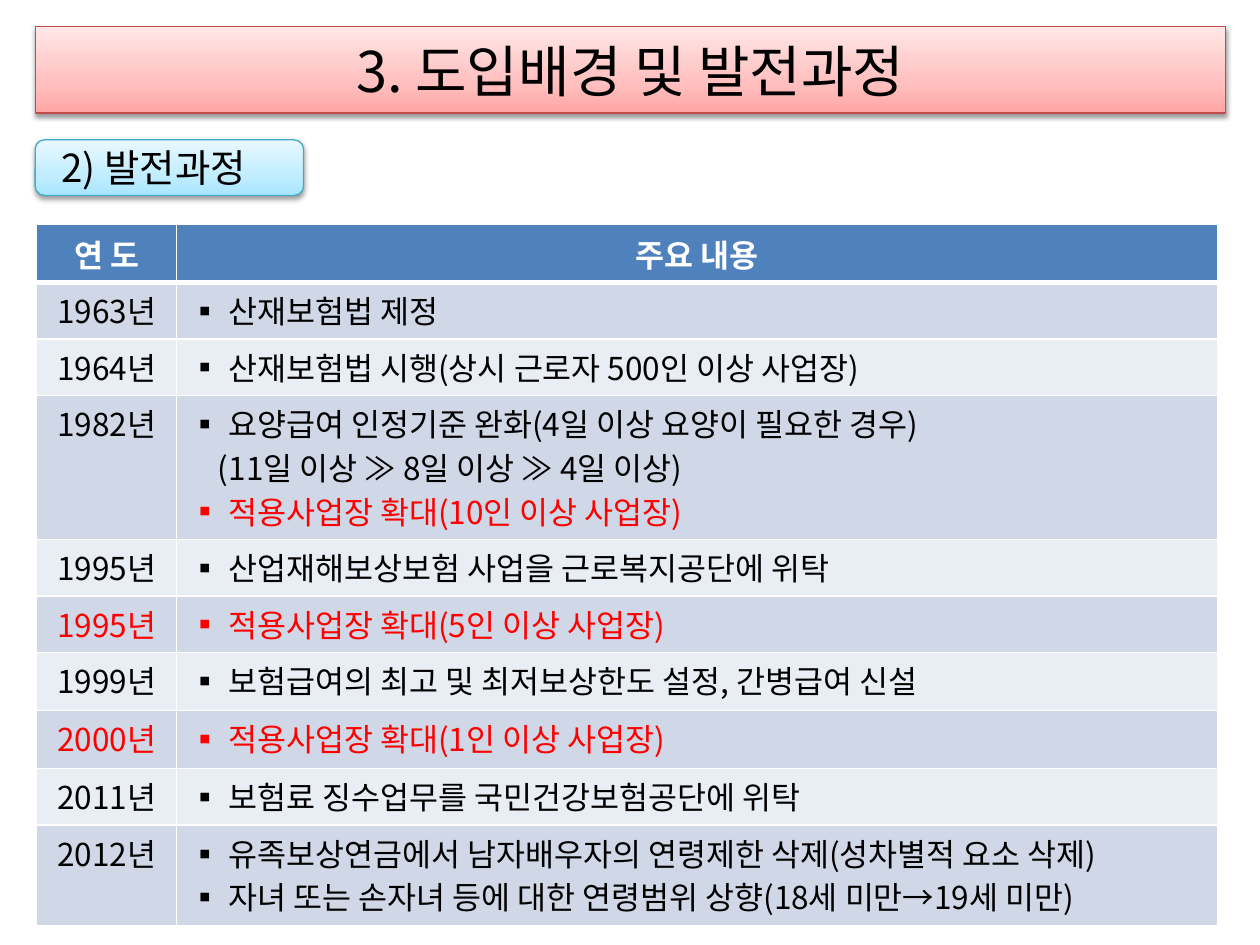
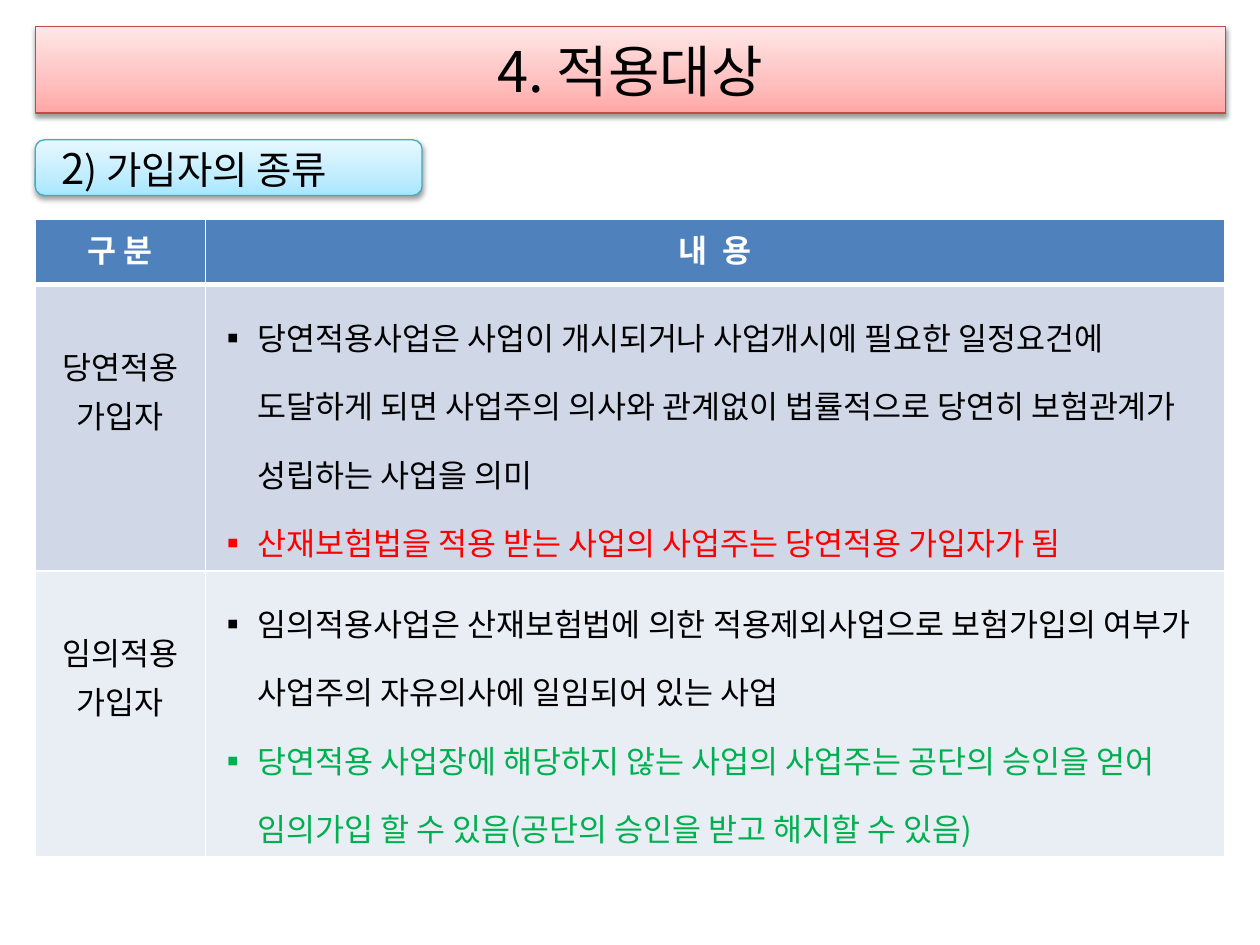
import pptx
import pptx.util
import pptx.dml.color
import pptx.enum.shapes
import pptx.enum.text
import pptx.oxml
import pptx.oxml.ns

Cm, Pt = pptx.util.Cm, pptx.util.Pt
ALIGN = pptx.enum.text.PP_ALIGN
ANCHOR = pptx.enum.text.MSO_ANCHOR
NS = pptx.oxml.ns.nsdecls("a")
FACE = "Noto Sans CJK KR"

HUES = {
    "black": "000000", "white": "FFFFFF", "red": "FF0000", "green": "00B050",
    "head": "4F81BD", "odd": "D0D8E8", "even": "E9EDF4",
}
# Gradient stops run from the bottom edge to the top edge
BANDS = {
    "title": {"stops": [(0, "FFA6A5"), (35, "FFC0BF"), (100, "FFE7E7")], "line": "BF4C48"},
    "label": {"stops": [(0, "A7E6FF"), (35, "C1EDFF"), (100, "E7F8FF")], "line": "46AAC5"},
}

# Content: each row is (label lines, items); an item is (text, colour, bulleted)
PAGES = [
    {
        "title": "3. 도입배경 및 발전과정",
        "label": [("2) 발전과정", 22)], "wide": 5.41,
        "at": (0.74, 4.52), "cols": (2.82, 20.98),
        "tall": (1.15, 1.14, 1.14, 2.9, 1.14, 1.14, 1.17, 1.17, 1.14, 2.02),
        "lead": Pt(25), "pitch": Pt(25), "top": 0.13,
        "head": ("연 도", "주요 내용"),
        "rows": [
            (["1963년"], [("산재보험법 제정", "black", True)]),
            (["1964년"], [("산재보험법 시행(상시 근로자 500인 이상 사업장)", "black", True)]),
            (["1982년"], [
                ("요양급여 인정기준 완화(4일 이상 요양이 필요한 경우)", "black", True),
                ("(11일 이상 ≫ 8일 이상 ≫ 4일 이상)", "black", False),
                ("적용사업장 확대(10인 이상 사업장)", "red", True)]),
            (["1995년"], [("산업재해보상보험 사업을 근로복지공단에 위탁", "black", True)]),
            (["1995년"], [("적용사업장 확대(5인 이상 사업장)", "red", True)]),
            (["1999년"], [("보험급여의 최고 및 최저보상한도 설정, 간병급여 신설", "black", True)]),
            (["2000년"], [("적용사업장 확대(1인 이상 사업장)", "red", True)]),
            (["2011년"], [("보험료 징수업무를 국민건강보험공단에 위탁", "black", True)]),
            (["2012년"], [
                ("유족보상연금에서 남자배우자의 연령제한 삭제(성차별적 요소 삭제)", "black", True),
                ("자녀 또는 손자녀 등에 대한 연령범위 상향(18세 미만→19세 미만)", "black", True)]),
        ],
    },
    {
        "title": "4. 적용대상",
        "label": [("2", 24), (") 가입자의 종류", 22)], "wide": 7.8,
        "at": (0.71, 4.42), "cols": (3.43, 20.55), "tall": (1.32, 5.74, 5.74),
        "lead": Pt(28), "pitch": 1.5, "top": 1.11,
        "head": ("구 분", "내  용"),
        "rows": [
            (["당연적용", "가입자"], [
                ("당연적용사업은 사업이 개시되거나 사업개시에 필요한 일정요건에 도달하게 되면 "
                 "사업주의 의사와 관계없이 법률적으로 당연히 보험관계가 성립하는 사업을 의미",
                 "black", True),
                ("산재보험법을 적용 받는 사업의 사업주는 당연적용 가입자가 됨", "red", True)]),
            (["임의적용", "가입자"], [
                ("임의적용사업은 산재보험법에 의한 적용제외사업으로 보험가입의 여부가 "
                 "사업주의 자유의사에 일임되어 있는 사업", "black", True),
                ("당연적용 사업장에 해당하지 않는 사업의 사업주는 공단의 승인을 얻어 "
                 "임의가입 할 수 있음(공단의 승인을 받고 해지할 수 있음)", "green", True)]),
        ],
    },
]


def put(thing, vals):
    for key, val in vals.items():
        setattr(thing, key, val)


def rgb(code):
    return pptx.dml.color.RGBColor.from_string(code)


def write(para, text, size=18, hue="black", bold=False):
    run = para.add_run()
    run.text = text
    put(run.font, {"size": Pt(size), "bold": bold, "name": FACE})
    run.font.color.rgb = rgb(HUES[hue])
    run.font._element.append(pptx.oxml.parse_xml(f'<a:ea {NS} typeface="{FACE}"/>'))


def lines(frame, count):
    """Return the given number of paragraphs in a text frame."""
    return [frame.paragraphs[0]] + [frame.add_paragraph() for _ in range(count - 1)]


def dress(shape, band, box):
    """Place a band and give it its gradient, outline and soft shadow."""
    put(shape, dict(zip(("left", "top", "width", "height"), map(Cm, box))))
    stops = "".join(f'<a:gs pos="{pos * 1000}"><a:srgbClr val="{code}"/></a:gs>'
                    for pos, code in band["stops"])
    props = shape._element.spPr
    props.append(pptx.oxml.parse_xml(
        f'<a:gradFill {NS} rotWithShape="1"><a:gsLst>{stops}</a:gsLst>'
        '<a:lin ang="16200000" scaled="1"/></a:gradFill>'))
    shape.line.color.rgb = rgb(band["line"])
    shape.line.width = Pt(0.75)
    shape.shadow.inherit = False
    props.find(pptx.oxml.ns.qn("a:effectLst")).append(pptx.oxml.parse_xml(
        f'<a:outerShdw {NS} blurRad="{Pt(3.1)}" dist="{Pt(1.6)}" dir="5400000" rotWithShape="0">'
        '<a:srgbClr val="000000"><a:alpha val="38000"/></a:srgbClr></a:outerShdw>'))
    put(shape.text_frame, {"word_wrap": True, "vertical_anchor": ANCHOR.MIDDLE})


def paint(cell, hue, base=1):
    """Fill a cell and rule its four sides in white."""
    cell.fill.solid()
    cell.fill.fore_color.rgb = rgb(HUES[hue])
    props = cell._tc.get_or_add_tcPr()
    for spot, (side, wide) in enumerate((("L", 1), ("R", 1), ("T", 1), ("B", base))):
        props.insert(spot, pptx.oxml.parse_xml(
            f'<a:ln{side} {NS} w="{Pt(wide)}"><a:solidFill>'
            f'<a:srgbClr val="{HUES["white"]}"/></a:solidFill></a:ln{side}>'))


def indent(para, bullet):
    props = para._p.get_or_add_pPr()
    props.set("marL", str(Cm(0.79 if bullet else 0.58)))
    props.set("indent", str(-Cm(0.79) if bullet else 0))
    if bullet:
        for xml in (f'<a:buFont {NS} typeface="{FACE}"/>', f'<a:buChar {NS} char="▪"/>'):
            props.append(pptx.oxml.parse_xml(xml))


def grid(slide, page):
    cols, tall = page["cols"], page["tall"]
    table = slide.shapes.add_table(
        len(tall), len(cols), *map(Cm, page["at"]), Cm(sum(cols)), Cm(sum(tall))).table
    for col, wide in zip(table.columns, cols):
        col.width = Cm(wide)
    for row, high in zip(table.rows, tall):
        row.height = Cm(high)

    # Header row
    for col, text in enumerate(page["head"]):
        cell = table.cell(0, col)
        paint(cell, "head", 3)
        para = cell.text_frame.paragraphs[0]
        para.alignment = ALIGN.CENTER
        write(para, text, hue="white", bold=True)

    # Body rows: the label takes the colour of its first item
    for num, (names, items) in enumerate(page["rows"], 1):
        left, right = table.cell(num, 0), table.cell(num, 1)
        for cell in (left, right):
            paint(cell, "odd" if num % 2 else "even")
        left.margin_top = Cm(page["top"])
        for para, name in zip(lines(left.text_frame, len(names)), names):
            put(para, {"alignment": ALIGN.CENTER, "line_spacing": page["lead"]})
            write(para, name, hue=items[0][1])
        for para, (text, hue, bullet) in zip(lines(right.text_frame, len(items)), items):
            para.line_spacing = page["pitch"]
            indent(para, bullet)
            write(para, text, hue=hue)


def build(deck, page):
    slide = deck.slides.add_slide(deck.slide_layouts[5])
    # Title band
    title = slide.shapes.title
    dress(title, BANDS["title"], (0.71, 0.53, 24, 1.75))
    para = title.text_frame.paragraphs[0]
    para.alignment = ALIGN.CENTER
    write(para, page["title"], 32)
    # Section label
    label = slide.shapes.add_shape(
        pptx.enum.shapes.MSO_SHAPE.ROUNDED_RECTANGLE, 0, 0, Cm(1), Cm(1))
    dress(label, BANDS["label"], (0.71, 2.82, page["wide"], 1.12))
    label.text_frame.margin_left = Cm(0.48)
    para = label.text_frame.paragraphs[0]
    para.alignment = ALIGN.LEFT
    for text, size in page["label"]:
        write(para, text, size)
    grid(slide, page)


def main():
    deck = pptx.Presentation()
    put(deck, {"slide_width": Cm(25.4), "slide_height": Cm(19.05)})
    for page in PAGES:
        build(deck, page)
    deck.save("out.pptx")


if __name__ == "__main__":
    main()
